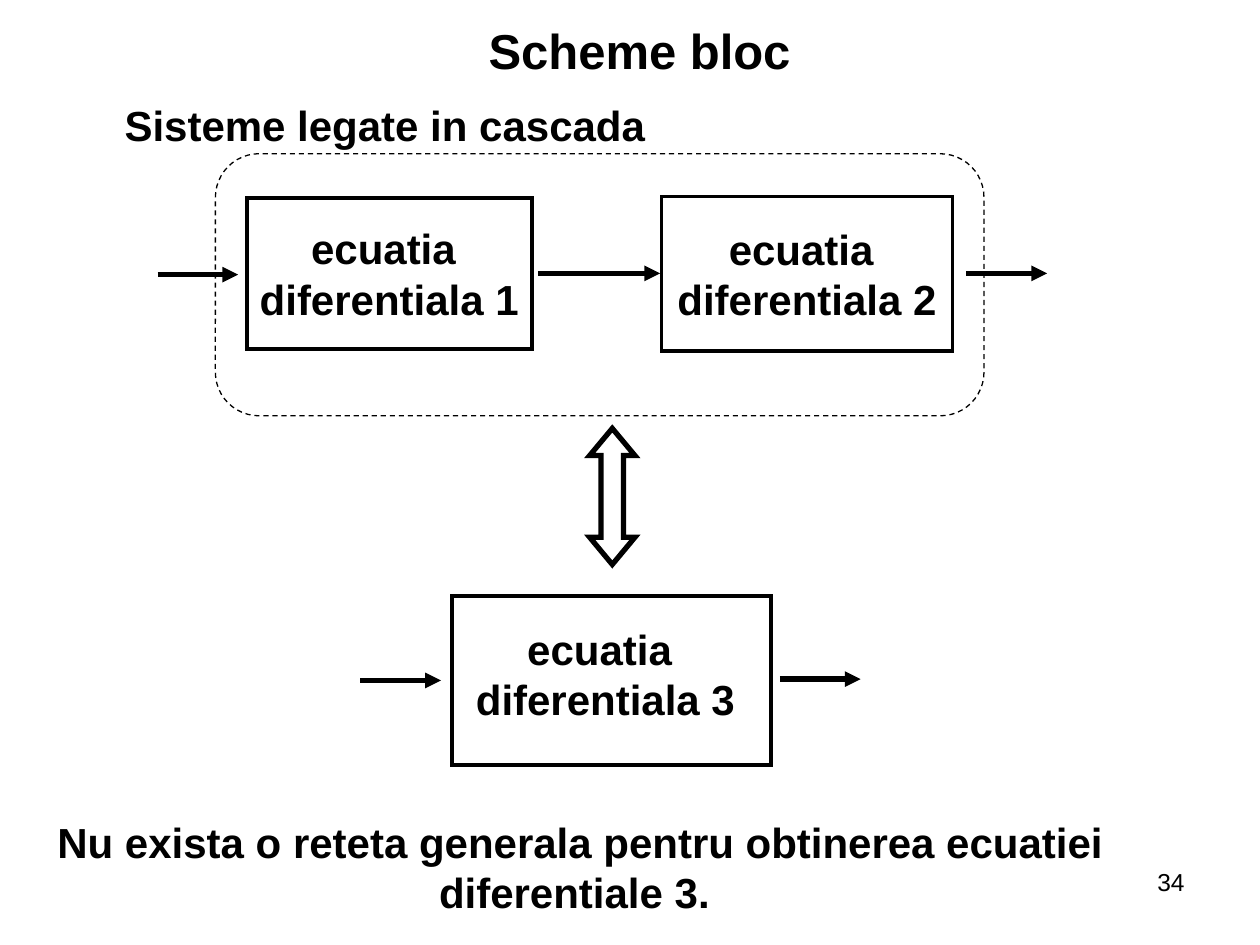
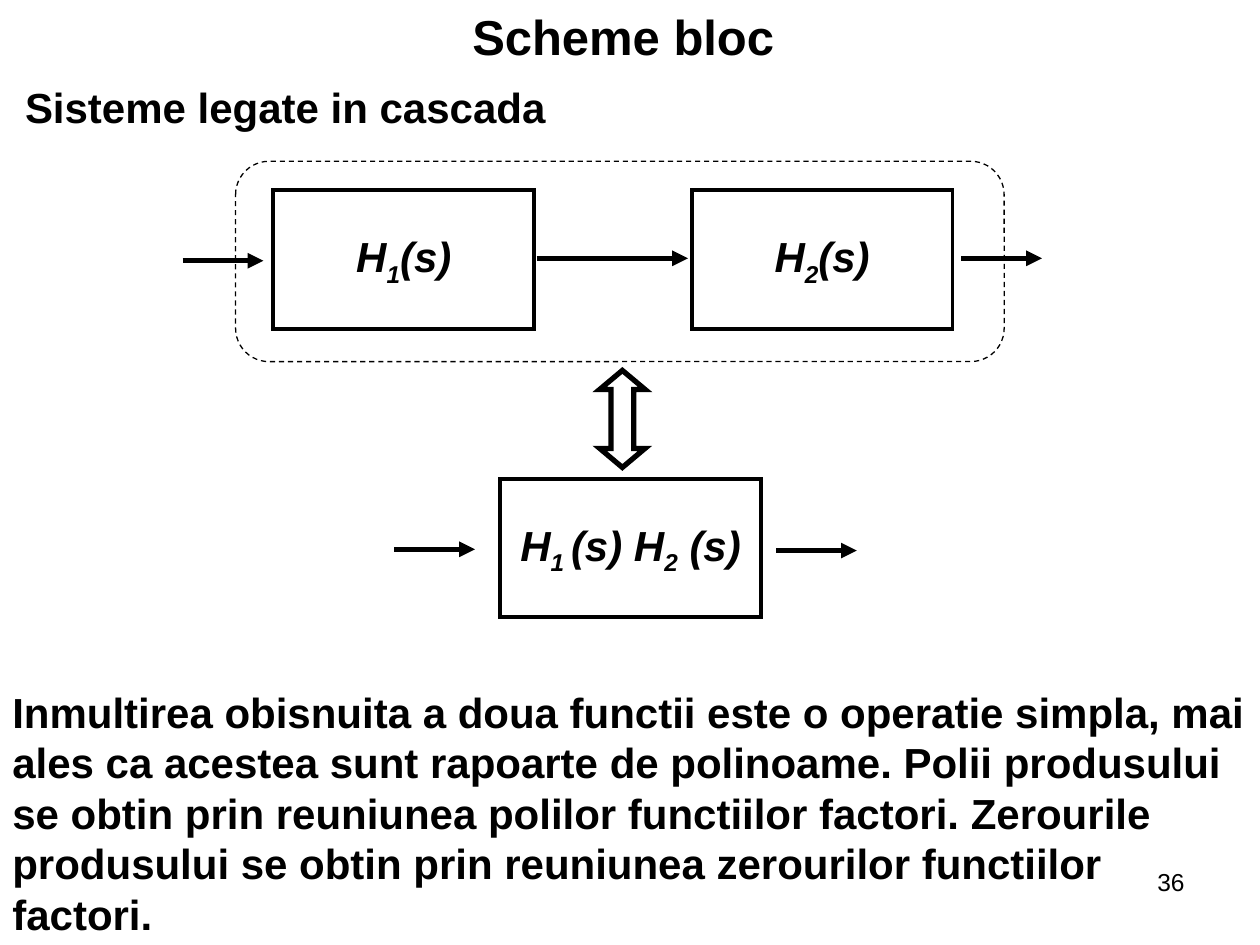
from dataclasses import dataclass
from typing import NamedTuple, Optional

from lxml.etree import SubElement
from pptx import Presentation
from pptx.dml.color import RGBColor
from pptx.enum.dml import MSO_LINE_DASH_STYLE as Dash
from pptx.enum.shapes import MSO_CONNECTOR as Connector, MSO_SHAPE as Preset
from pptx.enum.text import MSO_ANCHOR as Anchor, MSO_AUTO_SIZE as AutoSize, PP_ALIGN as Align
from pptx.oxml.ns import qn
from pptx.util import Inches, Pt

INK = RGBColor(0x00, 0x00, 0x00)
PAPER = RGBColor(0xFF, 0xFF, 0xFF)
FONT = "Arial"
TITLE_SIZE, BODY_SIZE, NUMBER_SIZE = 28, 24, 14
BLOCK_LINE, SIGNAL_LINE, BOUNDARY_LINE = 2.25, 3, 0.75

SLIDE_WIDTH, SLIDE_HEIGHT = Inches(10), Inches(7.5)
COLUMN, ROW = SLIDE_WIDTH / 100, SLIDE_HEIGHT / 75


class Area(NamedTuple):
    column: float
    row: float
    columns: float
    rows: float

    def emu(self) -> tuple:
        return (round(self.column * COLUMN), round(self.row * ROW),
                round(self.columns * COLUMN), round(self.rows * ROW))


class Signal(NamedTuple):
    column: float
    row: float
    columns: float = 6.4


@dataclass(frozen=True)
class Caption:
    area: Area
    content: str
    size: int = BODY_SIZE
    bold: bool = True
    italic: bool = False
    align: Align = Align.LEFT
    wrap: bool = False


@dataclass(frozen=True)
class Block:
    area: Area
    content: str = ""
    italic: bool = False


@dataclass(frozen=True)
class Equivalence:
    area: Area
    head_percent: int


@dataclass(frozen=True)
class CascadeSlide:
    title_at: tuple
    subtitle_at: tuple
    blocks: list
    signals: list
    boundary: Area
    equivalence: Equivalence
    conclusion: Caption
    number: str
    block_label: Optional[Caption] = None


def write(frame, caption: Caption) -> None:
    frame.word_wrap = caption.wrap
    frame.text = caption.content
    for paragraph, line in zip(frame.paragraphs, caption.content.split("\n")):
        base, *rest = line.split("_")
        paragraph.text = base
        for piece in rest:
            paragraph.add_run().text = piece
        paragraph.alignment = caption.align
        for run in paragraph.runs:
            run.font.name = FONT
            run.font.size = Pt(caption.size)
            run.font.bold = caption.bold
            run.font.italic = caption.italic
            run.font.color.rgb = INK
        for subscript in paragraph.runs[1::2]:
            subscript.font._element.set("baseline", "-25000")


def draw_caption(slide, caption: Caption) -> None:
    frame = slide.shapes.add_textbox(*caption.area.emu()).text_frame
    write(frame, caption)
    if not caption.wrap:
        frame.auto_size = AutoSize.SHAPE_TO_FIT_TEXT


def draw_outline(slide, preset: Preset, area: Area, width: float):
    outline = slide.shapes.add_shape(preset, *area.emu())
    outline.shadow.inherit = False
    outline.fill.background()
    outline.line.color.rgb = INK
    outline.line.width = Pt(width)
    SubElement(outline.line._get_or_add_ln(), qn("a:miter"), lim="800000")
    return outline


def draw_block(slide, block: Block) -> None:
    body = draw_outline(slide, Preset.RECTANGLE, block.area, BLOCK_LINE)
    body.fill.solid()
    body.fill.fore_color.rgb = PAPER
    if block.content:
        body.text_frame.vertical_anchor = Anchor.MIDDLE
        write(body.text_frame, Caption(block.area, block.content,
                                       italic=block.italic, align=Align.CENTER))


def draw_signal(slide, signal: Signal) -> None:
    left, top, length, _ = Area(*signal, 0).emu()
    arrow = slide.shapes.add_connector(Connector.STRAIGHT, left, top, left + length, top)
    arrow.line.color.rgb = INK
    arrow.line.width = Pt(SIGNAL_LINE)
    SubElement(arrow.line._get_or_add_ln(), qn("a:tailEnd"), type="triangle")
    SubElement(arrow._element.spPr, qn("a:effectLst"))


def draw_equivalence(slide, equivalence: Equivalence) -> None:
    arrow = draw_outline(slide, Preset.UP_DOWN_ARROW, equivalence.area, SIGNAL_LINE)
    guides = next(arrow._element.iter(qn("a:avLst")))
    for name, percent in (("adj1", 50), ("adj2", equivalence.head_percent)):
        SubElement(guides, qn("a:gd"), name=name, fmla=f"val {percent * 1000}")


def draw_slide(deck, cascade: CascadeSlide) -> None:
    slide = deck.slides.add_slide(deck.slide_layouts[6])
    draw_caption(slide, Caption(Area(*cascade.title_at, 26.4, 5.7), "Scheme bloc", TITLE_SIZE))
    draw_caption(slide, Caption(Area(*cascade.subtitle_at, 43.8, 5), "Sisteme legate in cascada"))
    for block in cascade.blocks:
        draw_block(slide, block)
    for signal in cascade.signals:
        draw_signal(slide, signal)
    boundary = draw_outline(slide, Preset.ROUNDED_RECTANGLE, cascade.boundary, BOUNDARY_LINE)
    boundary.line.dash_style = Dash.DASH
    draw_equivalence(slide, cascade.equivalence)
    if cascade.block_label:
        draw_caption(slide, cascade.block_label)
    draw_caption(slide, cascade.conclusion)
    draw_caption(slide, Caption(Area(71.7, 68.3, 23.3, 5.2), cascade.number, NUMBER_SIZE,
                                bold=False, align=Align.RIGHT, wrap=True))


def transfer_block(column: float, row: float, content: str) -> Block:
    return Block(Area(column, row, 20.7, 11), content, italic=True)


DIFFERENTIAL_EQUATIONS = CascadeSlide(
    title_at=(37.8, 1.1),
    subtitle_at=(8.9, 7.4),
    blocks=[
        Block(Area(19.6, 15.7, 22.6, 12), "ecuatia \ndiferentiala 1"),
        Block(Area(52.5, 15.6, 23.1, 12.3), "ecuatia \ndiferentiala 2"),
        Block(Area(35.9, 47.3, 25.3, 13.4)),
    ],
    signals=[Signal(12.5, 21.8), Signal(42.7, 21.7, 9.7), Signal(76.7, 21.7),
             Signal(28.6, 54), Signal(61.9, 53.9)],
    boundary=Area(17.1, 12.2, 61, 20.8),
    equivalence=Equivalence(Area(46.8, 34, 3.6, 10.8), 60),
    block_label=Caption(Area(36.5, 49, 23.1, 9), "ecuatia \ndiferentiala 3",
                        align=Align.CENTER),
    conclusion=Caption(
        Area(-2.4, 64.3, 96.9, 9),
        "Nu exista o reteta generala pentru obtinerea ecuatiei diferentiale 3. ",
        align=Align.CENTER, wrap=True),
    number="34",
)

TRANSFER_FUNCTIONS = CascadeSlide(
    title_at=(36.5, 0),
    subtitle_at=(1, 6),
    blocks=[
        transfer_block(21.7, 15.1, "H_1_(s)"),
        transfer_block(54.9, 15.1, "H_2_(s)"),
        transfer_block(39.7, 38, "H_1 _(s) H_2_ (s)"),
    ],
    signals=[Signal(14.5, 20.7), Signal(42.6, 20.5, 12), Signal(76.3, 20.5),
             Signal(31.3, 43.6), Signal(61.6, 43.7)],
    boundary=Area(18.7, 12.8, 61, 15.9),
    equivalence=Equivalence(Area(47.6, 29.4, 3.6, 7.7), 42),
    conclusion=Caption(
        Area(0, 54, 100, 21),
        "Inmultirea obisnuita a doua functii este o operatie simpla, mai ales ca "
        "acestea sunt rapoarte de polinoame. Polii produsului se obtin prin reuniunea "
        "polilor functiilor factori. Zerourile produsului se obtin prin reuniunea "
        "zerourilor functiilor factori.",
        wrap=True),
    number="36",
)


def main() -> None:
    deck = Presentation()
    deck.slide_width, deck.slide_height = SLIDE_WIDTH, SLIDE_HEIGHT
    for cascade in (DIFFERENTIAL_EQUATIONS, TRANSFER_FUNCTIONS):
        draw_slide(deck, cascade)
    deck.save("out.pptx")


if __name__ == "__main__":
    main()
